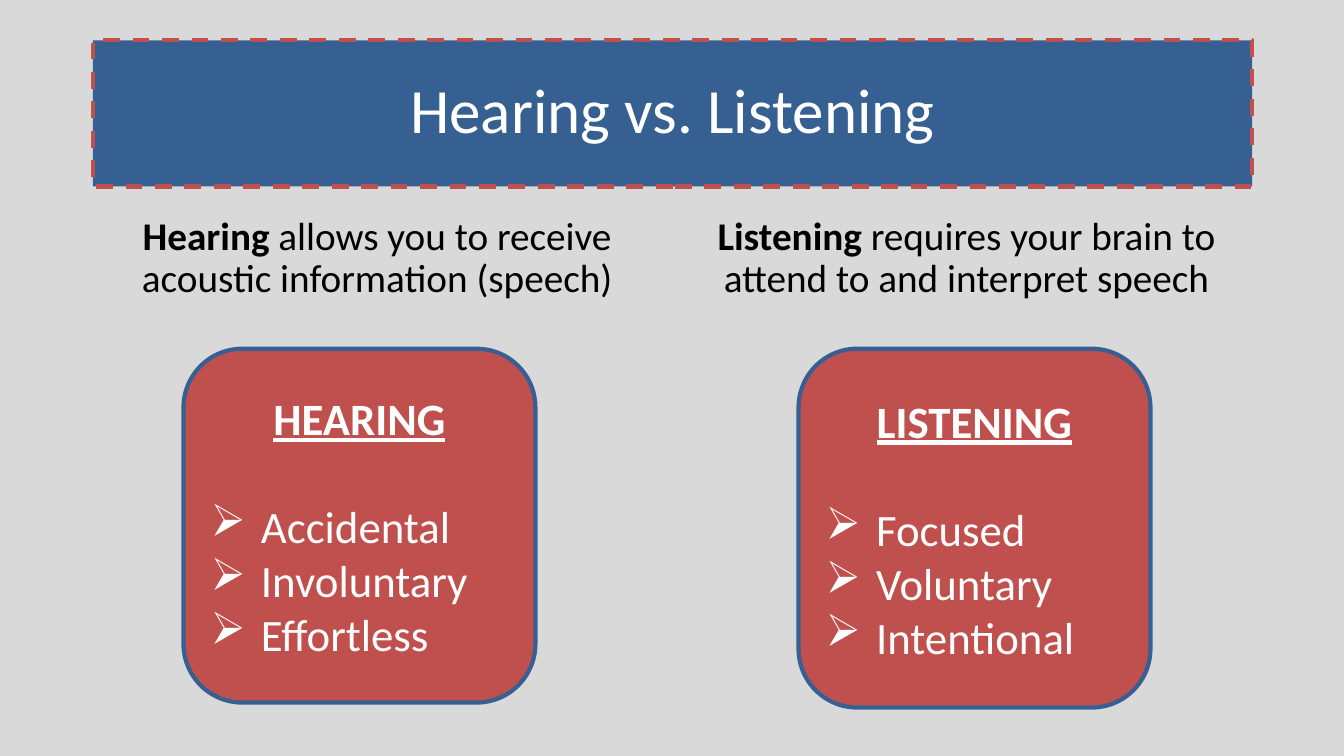
from dataclasses import dataclass

from lxml import etree
from pptx import Presentation
from pptx.dml.color import RGBColor
from pptx.enum import dml, shapes, text
from pptx.oxml import ns
from pptx.util import Inches, Pt


@dataclass(frozen=True)
class Theme:
    font: str = "Calibri"
    background: RGBColor = RGBColor(0xD9, 0xD9, 0xD9)
    blue: RGBColor = RGBColor(0x37, 0x60, 0x92)
    red: RGBColor = RGBColor(0xC0, 0x50, 0x4D)
    light: RGBColor = RGBColor(0xFF, 0xFF, 0xFF)
    dark: RGBColor = RGBColor(0, 0, 0)
    title_size: int = 45
    definition_size: int = 28
    card_size: int = 32
    card_gap: int = 39
    line_width: int = 3


THEME = Theme()


def place(s, left, top, width, height):
    s.left, s.top = Inches(left), Inches(top)
    s.width, s.height = Inches(width), Inches(height)


def paint(s, fill, line):
    s.fill.solid()
    s.fill.fore_color.rgb = fill
    s.line.color.rgb = line
    s.line.width = Pt(THEME.line_width)


def set_frame(tf, anchor):
    tf.word_wrap = True
    tf.auto_size = text.MSO_AUTO_SIZE.NONE
    tf.vertical_anchor = anchor


def style_run(r, size, color, bold=False, underline=False):
    r.font.name = THEME.font
    r.font.size = Pt(size)
    r.font.color.rgb = color
    r.font.bold = bold
    r.font.underline = underline


def add_arrow_bullet(p):
    """Give the paragraph a hanging arrowhead bullet."""
    pPr = p._p.get_or_add_pPr()
    pPr.set("marL", str(Inches(0.5)))
    pPr.set("indent", str(-Inches(0.5)))
    etree.SubElement(pPr, ns.qn("a:buChar")).set("char", "➢")


def fill_title(s, wording):
    place(s, 0.92, 0.4, 11.5, 1.45)
    paint(s, THEME.blue, THEME.red)
    s.line.dash_style = dml.MSO_LINE.DASH
    set_frame(s.text_frame, text.MSO_ANCHOR.MIDDLE)
    s.text_frame.text = wording
    p = s.text_frame.paragraphs[0]
    p.alignment = text.PP_ALIGN.CENTER
    p.line_spacing = 0.9
    style_run(p.runs[0], THEME.title_size, THEME.light)


def fill_definition(s, left, width, term, meaning):
    place(s, left, 1.85, width, 1.19)
    set_frame(s.text_frame, text.MSO_ANCHOR.BOTTOM)
    p = s.text_frame.paragraphs[0]
    p.alignment = text.PP_ALIGN.CENTER
    p.line_spacing = 0.9
    p.space_before = Pt(10)
    for wording, bold in ((term + " ", True), (meaning, False)):
        r = p.add_run()
        r.text = wording
        style_run(r, THEME.definition_size, THEME.dark, bold)


def add_card(slide, left, height, heading, traits):
    s = slide.shapes.add_shape(
        shapes.MSO_SHAPE.ROUNDED_RECTANGLE,
        Inches(left), Inches(3.46), Inches(3.49), Inches(height))
    s.shadow.inherit = False
    paint(s, THEME.red, THEME.blue)
    tf = s.text_frame
    set_frame(tf, text.MSO_ANCHOR.MIDDLE)
    tf.text = "\n".join([heading, *traits])
    title, *items = tf.paragraphs
    title.alignment = text.PP_ALIGN.CENTER
    title.space_after = Pt(THEME.card_gap)
    style_run(title.runs[0], THEME.card_size, THEME.light, True, True)
    for p in items:
        p.alignment = text.PP_ALIGN.LEFT
        add_arrow_bullet(p)
        style_run(p.runs[0], THEME.card_size, THEME.light)


def main():
    prs = Presentation()
    prs.slide_width, prs.slide_height = Inches(13.33), Inches(7.5)
    comparison = prs.slide_layouts[4]
    slide = prs.slides.add_slide(comparison)
    slide.background.fill.solid()
    slide.background.fill.fore_color.rgb = THEME.background

    title, left_text, left_body, right_text, right_body = list(slide.placeholders)[:5]
    for s in (left_body, right_body):
        s.element.getparent().remove(s.element)

    fill_title(title, "Hearing vs. Listening")
    fill_definition(left_text, 0.92, 5.64, "Hearing",
                    "allows you to receive acoustic information (speech)")
    fill_definition(right_text, 6.75, 5.67, "Listening",
                    "requires your brain to attend to and interpret speech")
    add_card(slide, 1.82, 3.51, "HEARING",
             ["Accidental", "Involuntary", "Effortless"])
    add_card(slide, 7.92, 3.56, "LISTENING",
             ["Focused", "Voluntary", "Intentional"])
    prs.save("out.pptx")


if __name__ == "__main__":
    main()
